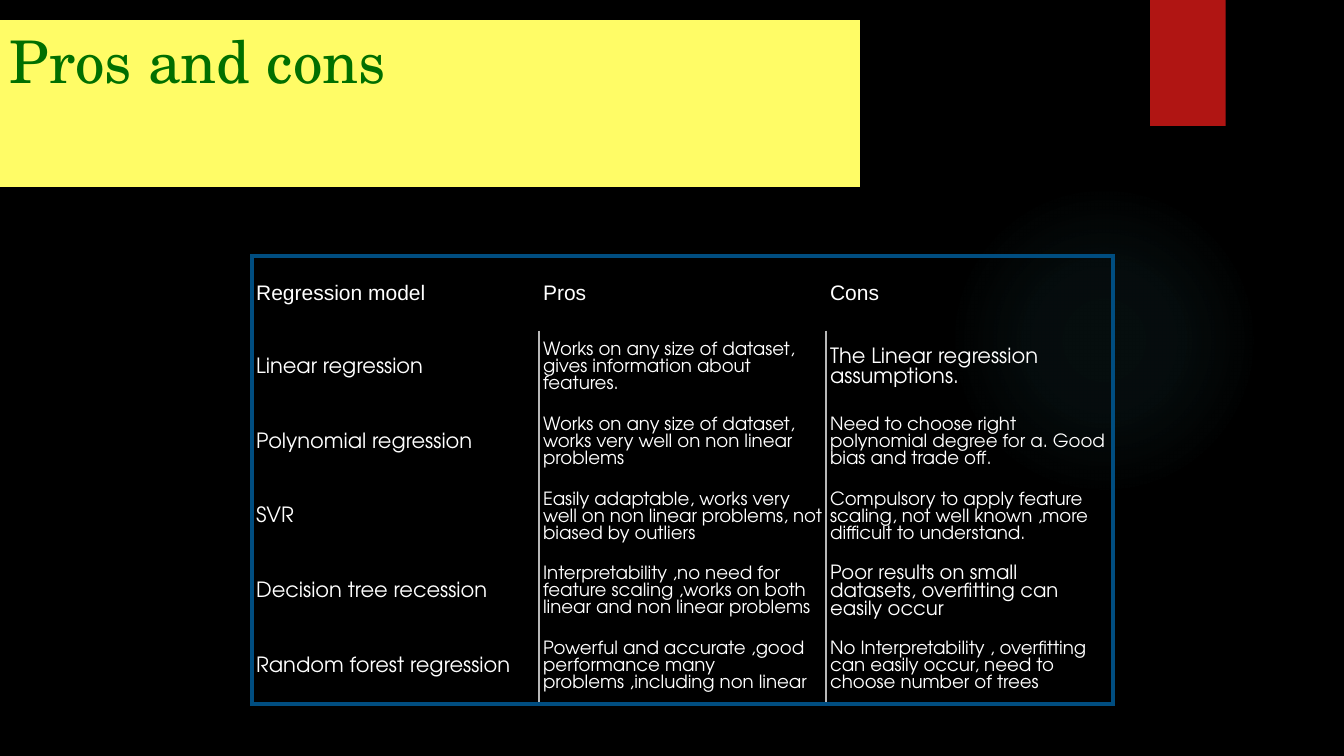
from dataclasses import dataclass
from typing import Optional

from lxml.etree import SubElement
from pptx import Presentation
from pptx.dml.color import RGBColor
from pptx.enum.shapes import MSO_SHAPE
from pptx.enum.text import MSO_ANCHOR, PP_ALIGN
from pptx.oxml import parse_xml
from pptx.oxml.ns import nsdecls, qn
from pptx.util import Pt


@dataclass(frozen=True)
class Theme:
    background: str = "000000"
    glow: str = "50B9C1"
    ribbon: str = "B01513"
    banner: str = "FFFC66"
    title: str = "016F00"
    text: str = "FFFFFF"
    frame: str = "004D80"
    divider: str = "B8B8B8"
    title_font: str = "TeX Gyre Schola"
    header_font: str = "Arial"
    body_font: str = "TeX Gyre Adventor"
    title_size: float = 42
    label_size: float = 15
    medium_size: float = 14
    body_size: float = 13
    frame_width: float = 3
    divider_width: float = 1
    leading: float = 0.93


@dataclass(frozen=True)
class Box:
    x: float
    y: float
    w: float
    h: float


@dataclass(frozen=True)
class Model:
    name: str
    pros: str
    cons: str
    cons_size: float


@dataclass(frozen=True)
class Border:
    color: str
    width: float


T = Theme()
FRAME = Border(T.frame, T.frame_width)
DIVIDER = Border(T.divider, T.divider_width)
GLOW = Box(677.5, 131.8, 221.8, 221.8)
RIBBON = Box(821.5, 0, 54, 90)
BANNER = Box(0, 14.4, 614.2, 119.2)
TABLE = Box(180, 182.9, 615, 319.8)
GLOW_STOPS = ((0, 7), (36, 6), (69, 0))
HEADERS = ("Regression model", "Pros", "Cons")
MODELS = (
    Model("Linear regression",
          "Works on any size of dataset, gives information about features.",
          "The Linear regression assumptions.", T.label_size),
    Model("Polynomial regression",
          "Works on any size of dataset, works very well on non linear problems",
          "Need to choose right polynomial degree for a. Good bias and trade off.", T.body_size),
    Model("SVR",
          "Easily adaptable, works very well on non linear problems, not biased by outliers",
          "Compulsory to apply feature scaling, not well known ,more difficult to understand.",
          T.body_size),
    Model("Decision tree recession",
          "Interpretability ,no need for feature scaling ,works on both linear and non linear problems",
          "Poor results on small datasets, overfitting can easily occur", T.medium_size),
    Model("Random forest regression",
          "Powerful and accurate ,good performance many problems ,including non linear",
          "No Interpretability , overfitting can easily occur, need to choose number of trees",
          T.body_size),
)


def rgb(color: str) -> RGBColor:
    return RGBColor.from_string(color)


def add_block(s, kind: MSO_SHAPE, box: Box, color: str):
    sp = s.shapes.add_shape(kind, Pt(box.x), Pt(box.y), Pt(box.w), Pt(box.h))
    sp.shadow.inherit = False
    sp.fill.solid()
    sp.fill.fore_color.rgb = rgb(color)
    sp.line.fill.background()
    return sp


def add_glow(s) -> None:
    sp = add_block(s, MSO_SHAPE.OVAL, GLOW, T.glow)
    stops = "".join(
        f'<a:gs pos="{pos * 1000}"><a:srgbClr val="{T.glow}">'
        f'<a:alpha val="{alpha * 1000}"/></a:srgbClr></a:gs>'
        for pos, alpha in GLOW_STOPS)
    solid = sp.fill._xPr.find(qn("a:solidFill"))
    solid.getparent().replace(solid, parse_xml(
        f'<a:gradFill {nsdecls("a")} rotWithShape="1"><a:gsLst>{stops}</a:gsLst>'
        '<a:path path="circle"><a:fillToRect l="50000" t="50000" r="50000" b="50000"/>'
        '</a:path></a:gradFill>'))


def set_text(tf, text: str, font: str, size: float, color: str):
    p = tf.paragraphs[0]
    p.text = text
    p.alignment = PP_ALIGN.LEFT
    p.font.name = font
    p.font.size = Pt(size)
    p.font.color.rgb = rgb(color)
    return p


def add_title(s) -> None:
    tf = add_block(s, MSO_SHAPE.RECTANGLE, BANNER, T.banner).text_frame
    tf.word_wrap = True
    tf.vertical_anchor = MSO_ANCHOR.TOP
    set_text(tf, "Pros and cons", T.title_font, T.title_size, T.title)


def set_border(cell, side: str, border: Optional[Border]) -> None:
    ln = SubElement(cell._tc.get_or_add_tcPr(), qn(f"a:ln{side}"))
    if border is None:
        ln.set("w", "0")
        SubElement(ln, qn("a:noFill"))
        return
    ln.set("w", str(Pt(border.width)))
    fill = SubElement(ln, qn("a:solidFill"))
    SubElement(fill, qn("a:srgbClr")).set("val", border.color)


def fill_cell(cell, row: int, col: int, text: str, size: float) -> None:
    cell.margin_left = cell.margin_right = Pt(3)
    cell.margin_top = cell.margin_bottom = Pt(3)
    cell.vertical_anchor = MSO_ANCHOR.MIDDLE
    font = T.body_font if row else T.header_font
    p = set_text(cell.text_frame, text, font, size, T.text)
    if row:
        p.line_spacing = Pt(round(size * T.leading, 1))
    inner = DIVIDER if row else None
    set_border(cell, "L", inner if col else FRAME)
    set_border(cell, "R", inner if col < len(HEADERS) - 1 else FRAME)
    set_border(cell, "T", None if row else FRAME)
    set_border(cell, "B", FRAME if row == len(MODELS) else None)
    cell.fill.background()


def add_model_table(s) -> None:
    rows = [[(text, T.label_size) for text in HEADERS]]
    rows += [[(m.name, T.label_size), (m.pros, T.body_size), (m.cons, m.cons_size)]
             for m in MODELS]
    table = s.shapes.add_table(len(rows), len(HEADERS), Pt(TABLE.x), Pt(TABLE.y),
                               Pt(TABLE.w), Pt(TABLE.h)).table
    table.horz_banding = False
    table.first_row = False
    for column in table.columns:
        column.width = Pt(TABLE.w / len(HEADERS))
    for i, row in enumerate(rows):
        table.rows[i].height = Pt(TABLE.h / len(rows))
        for j, (text, size) in enumerate(row):
            fill_cell(table.cell(i, j), i, j, text, size)


def main() -> None:
    prs = Presentation()
    prs.slide_width, prs.slide_height = Pt(960), Pt(540)
    s = prs.slides.add_slide(prs.slide_layouts[6])
    s.background.fill.solid()
    s.background.fill.fore_color.rgb = rgb(T.background)
    add_glow(s)
    add_block(s, MSO_SHAPE.RECTANGLE, RIBBON, T.ribbon)
    add_title(s)
    add_model_table(s)
    prs.save("out.pptx")


if __name__ == "__main__":
    main()
